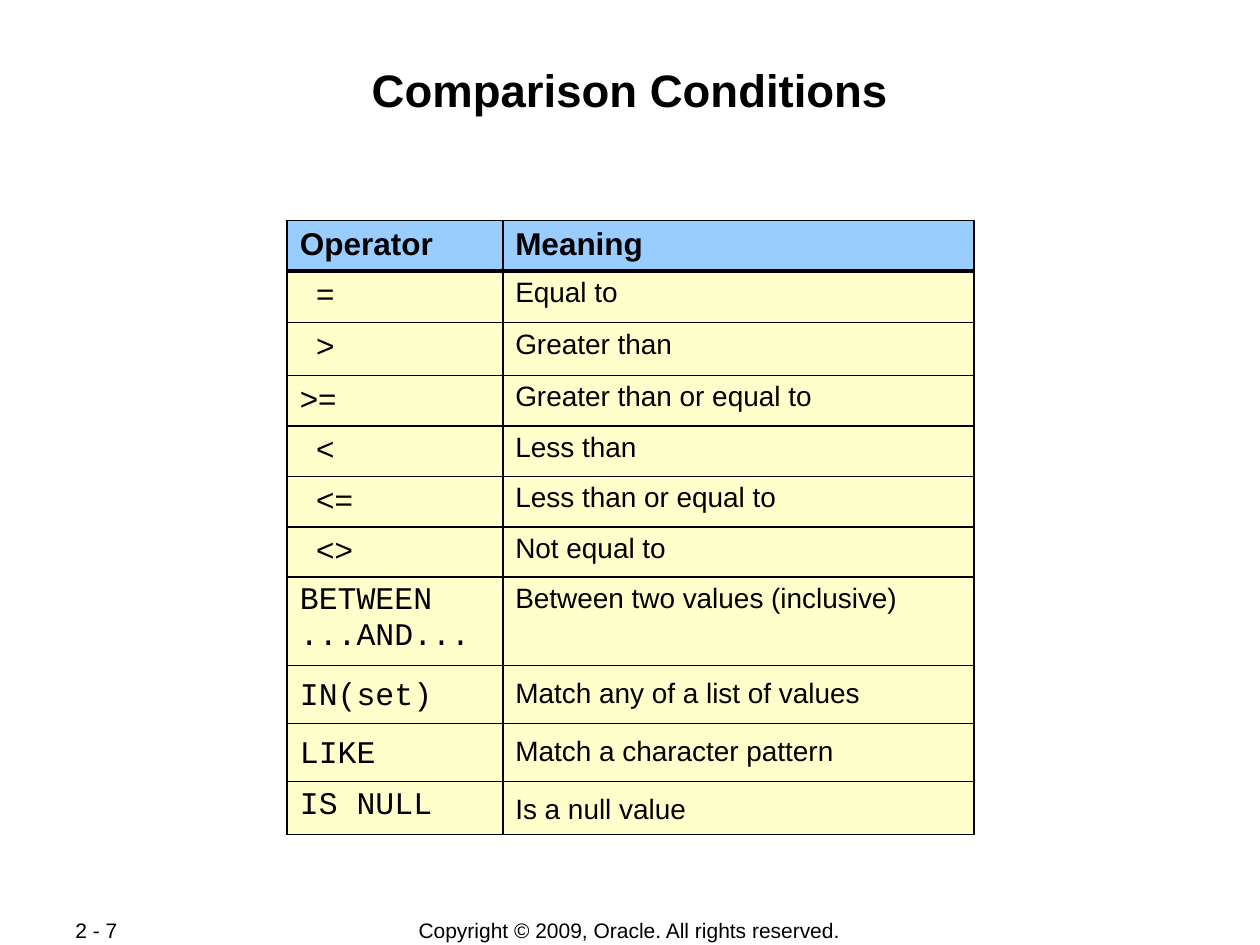
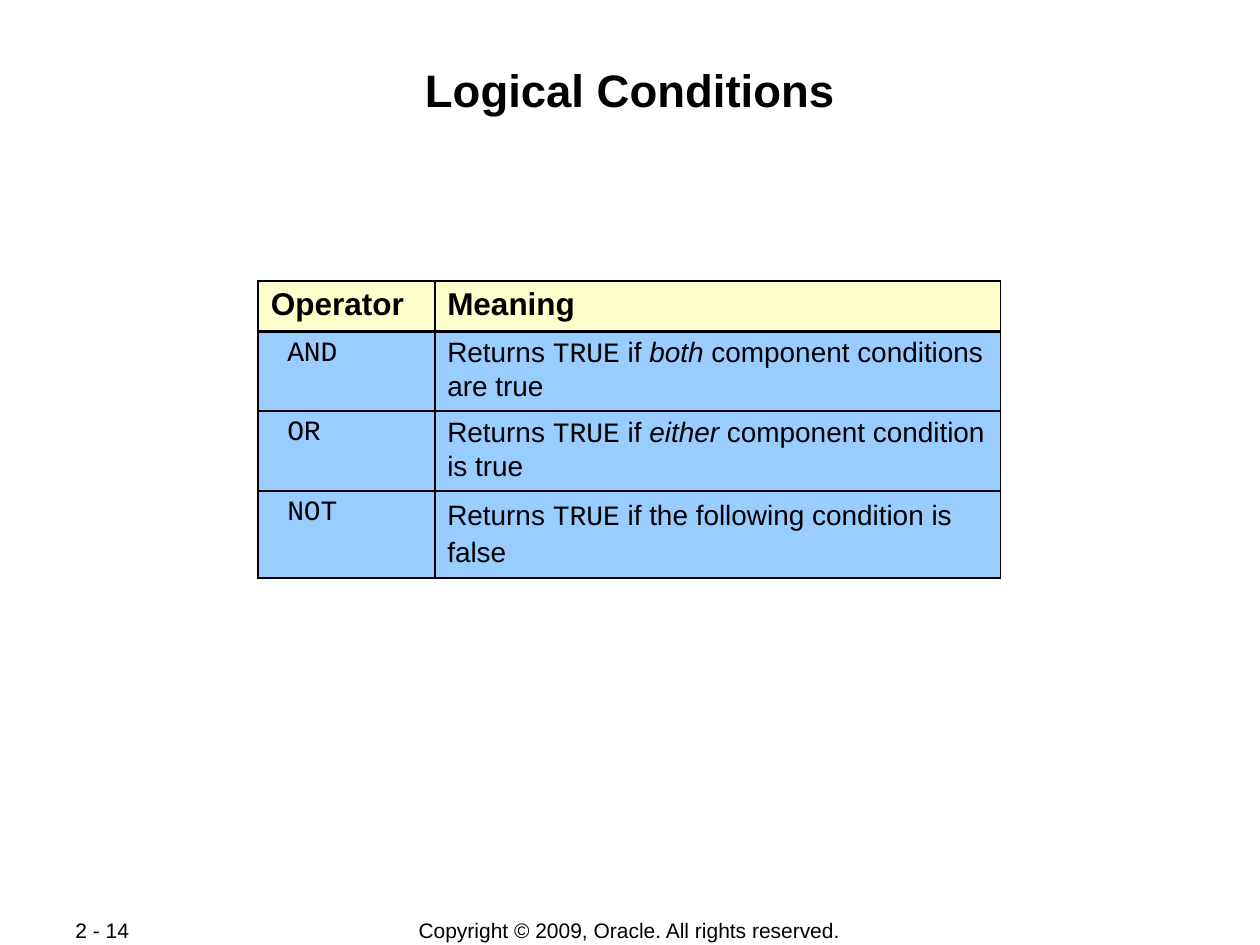
"""Build two slides that tabulate comparison and logical conditions."""
from dataclasses import dataclass

from pptx import Presentation
from pptx.dml.color import RGBColor
from pptx.enum.text import MSO_ANCHOR as Anchor, MSO_AUTO_SIZE as AutoSize, PP_ALIGN as Align
from pptx.oxml import parse_xml
from pptx.oxml.ns import nsdecls
from pptx.util import Inches, Pt


@dataclass(frozen=True)
class Theme:
    ink: str = "000000"
    blue: str = "99CCFF"
    cream: str = "FFFFCC"
    sans: str = "Arial"
    mono: str = "Courier New"
    title: int = 26
    head: int = 18
    body: int = 16
    foot: int = 12
    rule: float = 1.08
    head_rule: float = 2.21


@dataclass(frozen=True)
class Entry:
    operator: str
    meaning: tuple
    height: float
    font: str
    size: int
    indent: float = 0
    operator_spacing: float = 1
    meaning_spacing: float = 1


THEME = Theme()
GRID = 0.1
COLUMNS, ROWS = 100, 75
TITLE_BOX = (6.7, 4.8, 86.6, 9.6)
COPYRIGHT_BOX = (27.5, 72.8, 44.9, 2.1)
NUMBER_BOX = (5, 72.8, 10.6, 2)
HEAD_HEIGHT = 4
INDENT = 1.3
COPYRIGHT = "Copyright © 2009, Oracle. All rights reserved."


def units(count):
    """Turn grid units into a length."""
    return Inches(count * GRID)


def place(box):
    """Turn a grid box into left, top, width and height."""
    return [units(side) for side in box]


def style(font, size, name=THEME.sans, bold=False, italic=False):
    """Give a font its face, size, weight and colour."""
    font.name, font.size = name, Pt(size)
    font.bold, font.italic = bold, italic
    font.color.rgb = RGBColor.from_string(THEME.ink)


def add_title(page, text):
    """Write the slide title in its placeholder."""
    title = page.shapes.title
    title.left, title.top, title.width, title.height = place(TITLE_BOX)
    frame = title.text_frame
    frame.text = text
    frame.auto_size = AutoSize.NONE
    frame.vertical_anchor = Anchor.TOP
    frame.margin_left = frame.margin_right = Inches(0.01)
    frame.margin_top = frame.margin_bottom = Inches(0.01)
    para = frame.paragraphs[0]
    para.alignment = Align.CENTER
    style(para.runs[0].font, THEME.title, bold=True)


def add_footer(page, box, text, alignment):
    """Write one piece of the footer."""
    frame = page.shapes.add_textbox(*place(box)).text_frame
    frame.word_wrap = True
    frame.vertical_anchor = Anchor.MIDDLE
    frame.text = text
    para = frame.paragraphs[0]
    para.alignment = alignment
    style(para.runs[0].font, THEME.foot)


def set_borders(cell, top, bottom):
    """Draw the four borders of a table cell."""
    properties = cell._tc.get_or_add_tcPr()
    widths = {"lnL": THEME.rule, "lnR": THEME.rule, "lnT": top, "lnB": bottom}
    for side, width in widths.items():
        properties.append(parse_xml(
            f'<a:{side} {nsdecls("a")} w="{Pt(width)}"><a:solidFill>'
            f'<a:srgbClr val="{THEME.ink}"/></a:solidFill></a:{side}>'))


def paint(cell, colour, top=THEME.rule, bottom=THEME.rule):
    """Give a cell its borders and fill."""
    set_borders(cell, top, bottom)
    cell.fill.solid()
    cell.fill.fore_color.rgb = RGBColor.from_string(colour)


def write_operator(cell, entry):
    """Write the operator of a row."""
    para = cell.text_frame.paragraphs[0]
    para.text = entry.operator
    para.line_spacing = entry.operator_spacing
    if entry.indent:
        para._p.get_or_add_pPr().set("marL", str(units(entry.indent)))
    for span in para.runs:
        style(span.font, entry.size, entry.font)


def write_meaning(cell, entry):
    """Write the meaning of a row from spans of plain, code or italic text."""
    para = cell.text_frame.paragraphs[0]
    para.line_spacing = entry.meaning_spacing
    for text, kind in entry.meaning:
        span = para.add_run()
        span.text = text
        name = THEME.mono if kind == "code" else THEME.sans
        style(span.font, THEME.body, name, italic=kind == "italic")


def add_operator_table(page, corner, widths, entries, head_fill, body_fill):
    """Add a table of operators and their meanings."""
    heights = [HEAD_HEIGHT] + [entry.height for entry in entries]
    box = (*corner, sum(widths), sum(heights))
    table = page.shapes.add_table(len(heights), len(widths), *place(box)).table
    table.first_row = table.horz_banding = False
    for column, width in zip(table.columns, widths):
        column.width = units(width)
    for row, height in zip(table.rows, heights):
        row.height = units(height)
    for cell, text in zip(table.rows[0].cells, ("Operator", "Meaning")):
        paint(cell, head_fill, bottom=THEME.head_rule)
        cell.text_frame.text = text
        style(cell.text_frame.paragraphs[0].runs[0].font, THEME.head, bold=True)
    for index, entry in enumerate(entries, start=1):
        operator, meaning = table.rows[index].cells
        for cell in (operator, meaning):
            paint(cell, body_fill, top=THEME.head_rule if index == 1 else THEME.rule)
        write_operator(operator, entry)
        write_meaning(meaning, entry)


def add_page(deck, title, number):
    """Add a slide with its title and footer."""
    page = deck.slides.add_slide(deck.slide_layouts[5])
    add_footer(page, COPYRIGHT_BOX, COPYRIGHT, Align.CENTER)
    add_footer(page, NUMBER_BOX, f"2 - {number}", Align.LEFT)
    add_title(page, title)
    return page


def symbol(operator, meaning, height=4, indent=INDENT):
    """Describe a comparison written as a symbol."""
    return Entry(operator, ((meaning, "plain"),), height, THEME.sans, THEME.head, indent)


def keyword(operator, meaning, height, operator_spacing=1, meaning_spacing=1):
    """Describe a comparison written as a keyword."""
    return Entry(operator, ((meaning, "plain"),), height, THEME.mono, THEME.head,
                 operator_spacing=operator_spacing, meaning_spacing=meaning_spacing)


def logical(operator, height, *ending, spacing=1):
    """Describe a logical operator that returns TRUE under a condition."""
    meaning = (("Returns ", "plain"), ("TRUE", "code"), *ending)
    return Entry(operator, meaning, height, THEME.mono, THEME.body, INDENT,
                 meaning_spacing=spacing)


def add_comparison_page(deck):
    """Add the slide on comparison conditions."""
    entries = [
        symbol("=", "Equal to", 4.1),
        symbol(">", "Greater than", 4.2),
        symbol(">=", "Greater than or equal to", indent=0),
        symbol("<", "Less than"),
        symbol("<=", "Less than or equal to"),
        symbol("<>", "Not equal to"),
        keyword("BETWEEN\n...AND...", "Between two values (inclusive)", 7),
        keyword("IN(set)", "Match any of a list of values", 4.6, 1.2, 1.2),
        keyword("LIKE", "Match a character pattern", 4.6, 1.2, 1.2),
        keyword("IS NULL", "Is a null value", 4.2, meaning_spacing=1.2),
    ]
    page = add_page(deck, "Comparison Conditions", 7)
    add_operator_table(page, (22.8, 17.5), (17.1, 37.4), entries, THEME.blue, THEME.cream)


def add_logical_page(deck):
    """Add the slide on logical conditions."""
    entries = [
        logical("AND", 6.3, (" if ", "plain"), ("both ", "italic"),
                ("component conditions are true", "plain")),
        logical("OR", 6.3, (" if ", "plain"), ("either ", "italic"),
                ("component condition is true", "plain")),
        logical("NOT", 6.9, (" if the following condition is false", "plain"), spacing=1.1),
    ]
    page = add_page(deck, "Logical Conditions", 14)
    add_operator_table(page, (20.5, 22.3), (14, 44.9), entries, THEME.cream, THEME.blue)


def main():
    """Build the deck and save it."""
    deck = Presentation()
    deck.slide_width, deck.slide_height = units(COLUMNS), units(ROWS)
    add_comparison_page(deck)
    add_logical_page(deck)
    deck.save("out.pptx")


if __name__ == "__main__":
    main()
